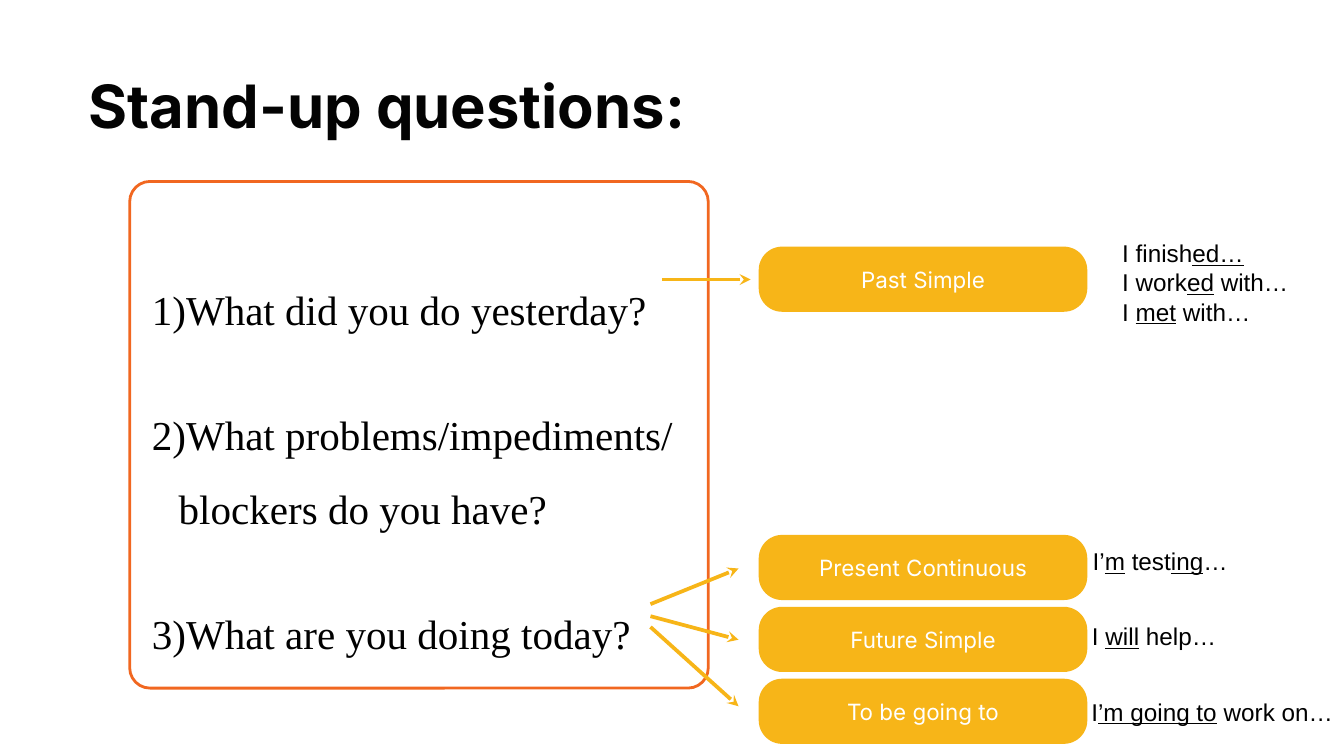
from dataclasses import dataclass

from lxml.etree import SubElement
from pptx import Presentation
from pptx.dml.color import RGBColor
from pptx.enum.shapes import MSO_CONNECTOR, MSO_SHAPE
from pptx.enum.text import MSO_ANCHOR, MSO_AUTO_SIZE, PP_ALIGN
from pptx.oxml.ns import qn
from pptx.util import Inches, Pt

COLUMNS, ROWS = 20, 11.25  # square grid cells, one inch each


@dataclass(frozen=True)
class Theme:
    ink: str = "000000"
    heading: str = "030303"
    light: str = "FFFFFF"
    frame: str = "F16720"
    accent: str = "F7B518"
    heading_font: str = "Inter"
    question_font: str = "Times New Roman"
    example_font: str = "Arial"
    heading_size: int = 64
    question_size: int = 44
    question_gap: int = 55
    example_size: int = 26
    tense_size: int = 24
    frame_width: int = 3
    arrow_width: int = 4


def write(paragraph, text, *, font, size, color, bold=False, align=None):
    """Fill a paragraph; parts between underscores are underlined."""
    if align is not None:
        paragraph.alignment = align
    for index, part in enumerate(text.split("_")):
        if not part:
            continue
        run = paragraph.add_run()
        run.text = part
        run.font.name = font
        run.font.size = Pt(size)
        run.font.bold = bold
        run.font.underline = index % 2 == 1
        run.font.color.rgb = RGBColor.from_string(color)


def number(paragraph, color, indent):
    """Give a paragraph automatic 1) numbering with a hanging indent."""
    properties = paragraph._p.get_or_add_pPr()
    properties.set("marL", str(Inches(indent)))
    properties.set("indent", str(-Inches(indent)))
    bullet_color = SubElement(properties, qn("a:buClr"))
    SubElement(bullet_color, qn("a:srgbClr"), val=color)
    SubElement(properties, qn("a:buAutoNum"), type="arabicParenR")


class SlideBuilder:
    def __init__(self, presentation, theme):
        self.theme = theme
        self.slide = presentation.slides.add_slide(presentation.slide_layouts[6])
        self.column = presentation.slide_width / COLUMNS
        self.row = presentation.slide_height / ROWS

    def place(self, *lengths):
        """Turn alternating columns and rows into slide units."""
        return [round(length * (self.row if index % 2 else self.column))
                for index, length in enumerate(lengths)]

    def text(self, box, lines, **style):
        text_box = self.slide.shapes.add_textbox(*self.place(*box))
        frame = text_box.text_frame
        frame.word_wrap = True
        frame.auto_size = MSO_AUTO_SIZE.SHAPE_TO_FIT_TEXT
        frame.margin_left = frame.margin_right = 0
        frame.margin_top = frame.margin_bottom = 0
        for index, line in enumerate(lines):
            paragraph = frame.add_paragraph() if index else frame.paragraphs[0]
            write(paragraph, line, **style)
        return frame

    def heading(self, box, text):
        theme = self.theme
        self.text(box, [text], font=theme.heading_font, size=theme.heading_size,
                  color=theme.heading, bold=True)

    def questions(self, box, questions):
        theme = self.theme
        frame = self.text(box, questions, font=theme.question_font,
                          size=theme.question_size, color=theme.ink)
        for index, paragraph in enumerate(frame.paragraphs):
            number(paragraph, theme.ink, 0.4)
            paragraph.line_spacing = 1.5
            if index:
                paragraph.space_before = Pt(theme.question_gap)

    def examples(self, box, lines):
        theme = self.theme
        self.text(box, lines, font=theme.example_font, size=theme.example_size,
                  color=theme.ink)

    def rounded(self, box, radius):
        shape = self.slide.shapes.add_shape(MSO_SHAPE.ROUNDED_RECTANGLE, *self.place(*box))
        shape.adjustments[0] = radius
        shape.shadow.inherit = False
        return shape

    def outline(self, box):
        shape = self.rounded(box, 0.04)
        shape.fill.background()
        shape.line.color.rgb = RGBColor.from_string(self.theme.frame)
        shape.line.width = Pt(self.theme.frame_width)

    def tense(self, box, name):
        theme = self.theme
        shape = self.rounded(box, 0.36)
        shape.fill.solid()
        shape.fill.fore_color.rgb = RGBColor.from_string(theme.accent)
        shape.line.fill.background()
        shape.text_frame.vertical_anchor = MSO_ANCHOR.MIDDLE
        write(shape.text_frame.paragraphs[0], name, font=theme.heading_font,
              size=theme.tense_size, color=theme.light, align=PP_ALIGN.CENTER)

    def arrow(self, start, end):
        connector = self.slide.shapes.add_connector(
            MSO_CONNECTOR.STRAIGHT, *self.place(*start, *end))
        connector.line.color.rgb = RGBColor.from_string(self.theme.accent)
        connector.line.width = Pt(self.theme.arrow_width)
        SubElement(connector.line._get_or_add_ln(), qn("a:tailEnd"), type="stealth")
        SubElement(connector._element.spPr, qn("a:effectLst"))


def main():
    presentation = Presentation()
    presentation.slide_width = Inches(COLUMNS)
    presentation.slide_height = Inches(ROWS)
    builder = SlideBuilder(presentation, Theme())

    builder.heading((1.32, 1.02, 13.21, 1.07), "Stand-up questions:")
    builder.outline((1.93, 2.7, 8.61, 7.54))
    builder.questions((2.26, 3.86, 7.94, 5.62), [
        "What did you do yesterday?",
        "What problems/impediments/ blockers do you have?",
        "What are you doing today?",
    ])

    tense_left, tense_width, tense_height = 11.29, 4.89, 0.97
    past_top, today_top, today_step = 3.67, 7.96, 1.07
    builder.tense((tense_left, past_top, tense_width, tense_height), "Past Simple")
    builder.arrow((9.85, 4.16), (11.17, 4.16))
    builder.examples((16.7, 3.55, 2.58, 1.29),
                     ["I finish_ed…_", "I work_ed_ with…", "I _met_ with…"])

    today_tenses = [
        ("Present Continuous", "I’_m_ test_ing_…", 2.02, 8.99, 8.46),
        ("Future Simple", "I _will_ help…", 1.86, 9.17, 9.52),
        ("To be going to", "I_’m going to_ work on…", 3.61, 9.33, 10.51),
    ]
    for index, (name, example, width, start, end) in enumerate(today_tenses):
        top = today_top + index * today_step
        builder.tense((tense_left, top, tense_width, tense_height), name)
        builder.arrow((9.68, start), (10.99, end))
        builder.examples((16.26 - index * 0.01, 8.13 + index * 1.12, width, 0.43), [example])

    presentation.save("out.pptx")


if __name__ == "__main__":
    main()
